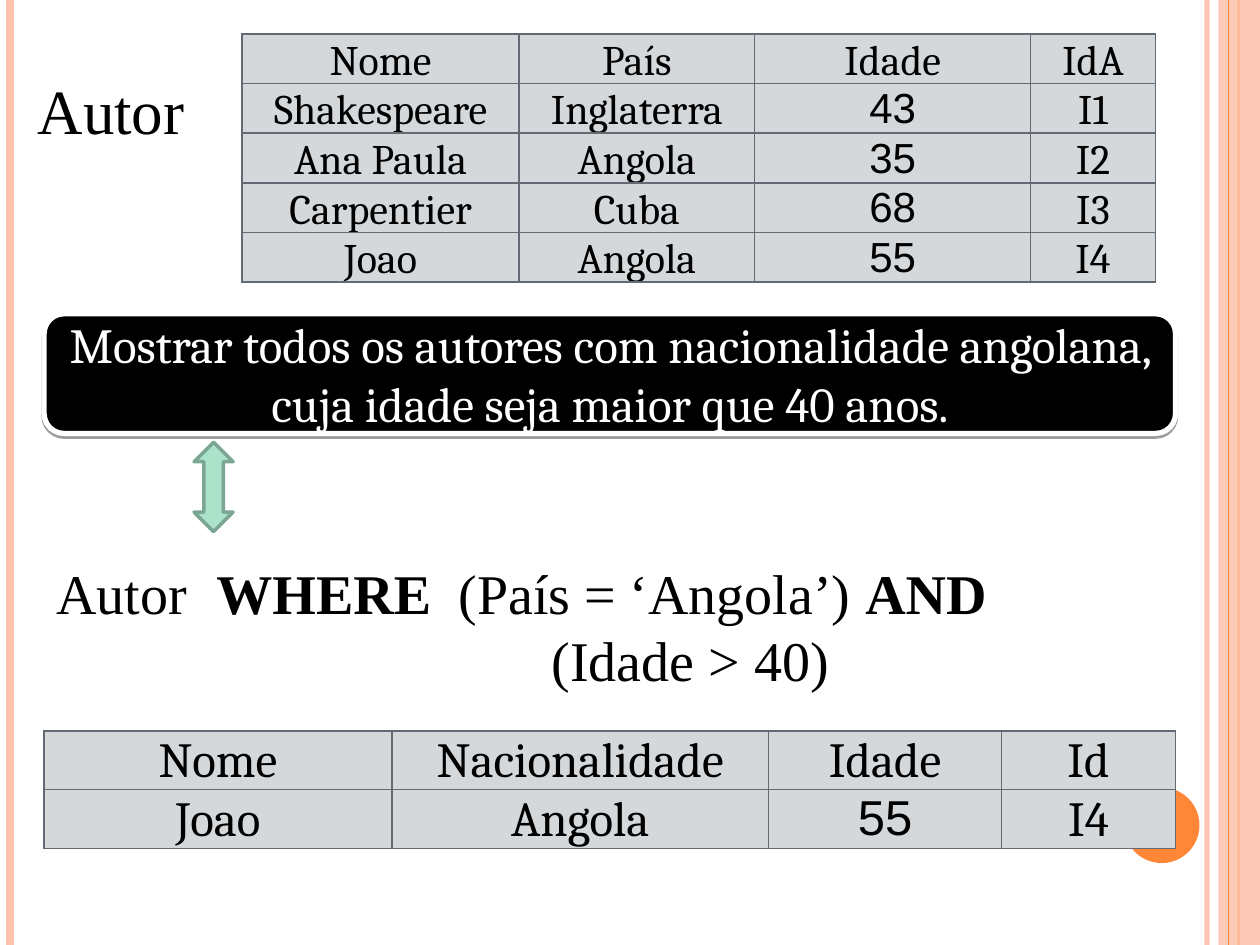
from lxml.etree import SubElement
from pptx import Presentation
from pptx.dml.color import RGBColor
from pptx.enum.shapes import MSO_CONNECTOR as Connector, MSO_SHAPE as Shape
from pptx.enum.text import MSO_ANCHOR as Anchor, PP_ALIGN as Align
from pptx.oxml import parse_xml
from pptx.oxml.ns import nsdecls, qn
from pptx.util import Inches, Pt

BLACK = RGBColor(0x00, 0x00, 0x00)
WHITE = RGBColor(0xFF, 0xFF, 0xFF)
ORANGE = RGBColor(0xFE, 0x86, 0x37)
PEACH = RGBColor(0xFE, 0xC3, 0xAE)
GREEN = RGBColor(0xAA, 0xE2, 0xCA)
DARK_GREEN = RGBColor(0x7C, 0xA6, 0x94)
CELL = RGBColor(0xD5, 0xD8, 0xDB)
BORDER = RGBColor(0x63, 0x6A, 0x74)


class SlideBuilder:
    text_font = "Times New Roman"
    table_font = "Cambria"
    number_font = "Arial"

    def __init__(self, slide):
        self.s = slide

    def style(self, font, size, name, color=BLACK):
        font.size = Pt(size)
        font.name = name
        font.color.rgb = color

    def opacity(self, element, percent):
        for color in element.iter(qn("a:srgbClr")):
            SubElement(color, qn("a:alpha")).set("val", str(percent * 1000))

    def vertical_rule(self, x, color, width, percent=100):
        line = self.s.shapes.add_connector(
            Connector.STRAIGHT, Inches(x), 0, Inches(x), Inches(7.5))
        line.line.color.rgb = color
        line.line.width = Pt(width)
        if percent < 100:
            self.opacity(line.line._get_or_add_ln(), percent)
        SubElement(line._element.spPr, qn("a:effectLst"))

    def shape(self, kind, box, fill, outline=None, width=0, percent=100):
        sp = self.s.shapes.add_shape(kind, *map(Inches, box))
        sp.shadow.inherit = False
        sp.fill.solid()
        sp.fill.fore_color.rgb = fill
        if percent < 100:
            self.opacity(sp._element.spPr, percent)
        if outline is None:
            sp.line.fill.background()
        else:
            sp.line.color.rgb = outline
            sp.line.width = Pt(width)
        return sp

    def banner(self, text, box):
        sp = self.shape(Shape.ROUNDED_RECTANGLE, box, BLACK, WHITE, 3)
        effects = sp._element.spPr.find(qn("a:effectLst"))
        effects.append(parse_xml(
            f'<a:outerShdw {nsdecls("a")} blurRad="0" dist="{Pt(1.6)}" '
            'dir="5400000" rotWithShape="0"><a:srgbClr val="000000">'
            '<a:alpha val="38000"/></a:srgbClr></a:outerShdw>'))
        tf = sp.text_frame
        tf.word_wrap = True
        tf.vertical_anchor = Anchor.MIDDLE
        tf.text = text
        p = tf.paragraphs[0]
        p.alignment = Align.CENTER
        self.style(p.runs[0].font, 28, self.table_font, WHITE)

    def text(self, lines, box, size, tabs=(), indent=0):
        tf = self.s.shapes.add_textbox(*map(Inches, box)).text_frame
        tf.word_wrap = True
        for i, runs in enumerate(lines):
            p = tf.add_paragraph() if i else tf.paragraphs[0]
            pPr = p._p.get_or_add_pPr()
            if i:
                pPr.set("marL", str(Inches(indent)))
            elif tabs:
                stops = SubElement(pPr, qn("a:tabLst"))
                for tab in tabs:
                    stop = SubElement(stops, qn("a:tab"))
                    stop.set("pos", str(Inches(tab)))
                    stop.set("algn", "l")
            for words, bold in runs:
                r = p.add_run()
                r.text = words
                r.font.bold = bold
                self.style(r.font, size, self.text_font)

    def borders(self, cell):
        tcPr = cell._tc.get_or_add_tcPr()
        for side in ("lnL", "lnR", "lnT", "lnB"):
            tcPr.append(parse_xml(
                f'<a:{side} {nsdecls("a")} w="{Pt(1)}"><a:solidFill>'
                f'<a:srgbClr val="{BORDER}"/></a:solidFill></a:{side}>'))

    def table(self, rows, left, top, widths, row_height, size):
        frame = self.s.shapes.add_table(
            len(rows), len(widths), Inches(left), Inches(top),
            Inches(sum(widths)), Inches(row_height * len(rows)))
        table = frame.table
        table.first_row = False
        table.horz_banding = False
        for column, width in zip(table.columns, widths):
            column.width = Inches(width)
        for row, values in zip(table.rows, rows):
            row.height = Inches(row_height)
            for cell, value in zip(row.cells, values):
                self.borders(cell)
                cell.fill.solid()
                cell.fill.fore_color.rgb = CELL
                cell.margin_left = cell.margin_right = Inches(0.05)
                cell.margin_top = Inches(0.06)
                cell.margin_bottom = 0
                cell.text = value
                p = cell.text_frame.paragraphs[0]
                p.alignment = Align.CENTER
                p.line_spacing = 0.87
                name = self.number_font if value.isdigit() else self.table_font
                self.style(p.runs[0].font, size, name)


def main():
    prs = Presentation()
    prs.slide_width = Inches(10)
    prs.slide_height = Inches(7.5)
    b = SlideBuilder(prs.slides.add_slide(prs.slide_layouts[6]))

    b.vertical_rule(9.58, PEACH, 3, 93)
    b.vertical_rule(0.08, PEACH, 4.5)
    b.vertical_rule(9.83, ORANGE, 1.5)
    b.shape(Shape.RECTANGLE, (9.67, 0, 0.33, 7.5), PEACH, percent=87)
    b.vertical_rule(9.75, ORANGE, 0.75)
    b.shape(Shape.OVAL, (8.92, 6.25, 0.6, 0.6), ORANGE)

    authors = [
        ("Nome", "País", "Idade", "IdA"),
        ("Shakespeare", "Inglaterra", "43", "I1"),
        ("Ana Paula", "Angola", "35", "I2"),
        ("Carpentier", "Cuba", "68", "I3"),
        ("Joao", "Angola", "55", "I4"),
    ]
    b.table(authors, 1.92, 0.27, (2.2, 1.87, 2.19, 0.99), 0.39, 24)
    b.text([[("Autor", False)]], (0.2, 0.52, 1.5, 0.71), 36)
    b.banner("Mostrar todos os autores com nacionalidade angolana, "
             "cuja idade seja maior que 40 anos.", (0.35, 2.49, 8.98, 0.95))
    query = [
        [("Autor\t", False), ("WHERE\t", True),
         ("(País = ‘Angola’) ", False), ("AND", True)],
        [("(Idade > 40)", False)],
    ]
    b.text(query, (0.35, 4.38, 8.87, 1.18), 32, tabs=(1.27, 3.19), indent=3.93)
    b.shape(Shape.UP_DOWN_ARROW, (1.54, 3.51, 0.31, 0.71), GREEN, DARK_GREEN, 2)
    result = [
        ("Nome", "Nacionalidade", "Idade", "Id"),
        ("Joao", "Angola", "55", "I4"),
    ]
    b.table(result, 0.35, 5.8, (2.76, 2.99, 1.85, 1.38), 0.46, 28)

    prs.save("out.pptx")


if __name__ == "__main__":
    main()
